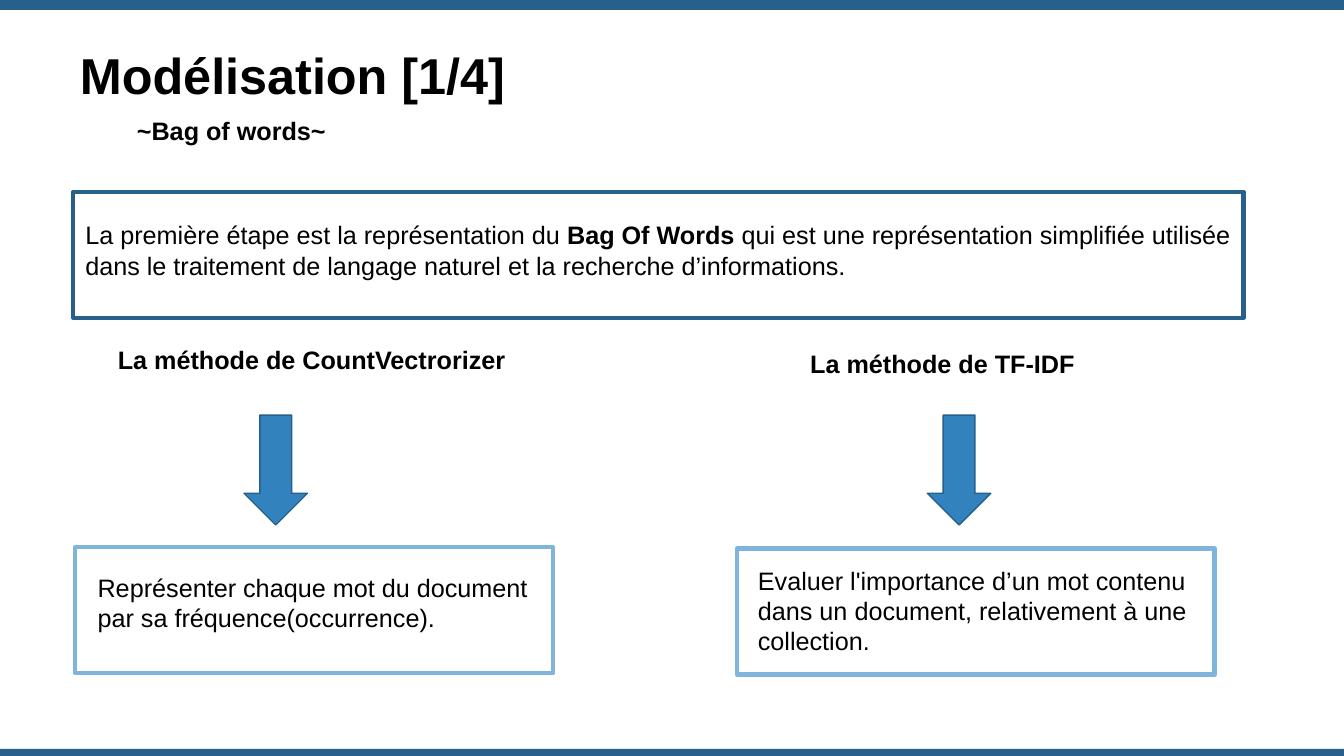
from dataclasses import dataclass
from typing import Any

from pptx import Presentation
from pptx.dml.color import RGBColor
from pptx.enum import shapes, text
from pptx.util import Cm, Pt

BAR_BLUE = "28608C"
ARROW_BLUE = "3282BE"
ARROW_EDGE = "25608D"
FRAME_BLUE = "7FB5DD"
BLACK = "000000"
WIDTH, HEIGHT = 33.87, 19.05


@dataclass(frozen=True)
class Box:
    """A rectangle on the slide, in centimetres."""
    left: float
    top: float
    width: float
    height: float

    def lengths(self) -> list[Cm]:
        return [Cm(value) for value in (self.left, self.top, self.width, self.height)]


@dataclass(frozen=True)
class Run:
    text: str
    bold: bool = False


@dataclass(frozen=True)
class Method:
    heading: str
    heading_box: Box
    arrow_left: float
    description: str
    description_box: Box
    frame_left: float
    frame_top: float


METHODS = [
    Method("La méthode de CountVectrorizer", Box(2.72, 8.56, 10.97, 1.02), 6.15,
           "Représenter chaque mot du document par sa fréquence(occurrence).",
           Box(2.21, 14.3, 11.71, 1.8), 1.9, 13.79),
    Method("La méthode de TF-IDF", Box(20.17, 8.66, 9.07, 1.02), 23.37,
           "Evaluer l'importance d’un mot contenu dans un document, "
           "relativement à une collection.",
           Box(18.85, 14.12, 12.5, 2.57), 18.57, 13.82),
]


def color(value: str) -> RGBColor:
    return RGBColor.from_string(value)


def set_all(target: Any, values: dict[str, Any]) -> None:
    for name, value in values.items():
        setattr(target, name, value)


def write_runs(paragraph: Any, runs: list[Run], size: float = 18) -> None:
    for item in runs:
        run = paragraph.add_run()
        run.text = item.text
        set_all(run.font, {"name": "Arial", "size": Pt(size), "bold": item.bold})
        run.font.color.rgb = color(BLACK)


def add_text(slide: Any, box: Box, runs: list[Run]) -> None:
    frame = slide.shapes.add_textbox(*box.lengths()).text_frame
    set_all(frame, {"word_wrap": True,
                    "auto_size": text.MSO_AUTO_SIZE.SHAPE_TO_FIT_TEXT})
    write_runs(frame.paragraphs[0], runs)


def add_figure(slide: Any, kind: shapes.MSO_SHAPE, box: Box, fill: str | None = None,
               line: str | None = None, line_width: float = 1) -> None:
    """Draw a preset shape; a missing fill or line colour leaves that part out."""
    shape = slide.shapes.add_shape(kind, *box.lengths())
    shape.shadow.inherit = False
    if fill:
        shape.fill.solid()
        shape.fill.fore_color.rgb = color(fill)
    else:
        shape.fill.background()
    if line:
        shape.line.color.rgb = color(line)
        shape.line.width = Pt(line_width)
    else:
        shape.line.fill.background()


def add_title(slide: Any, box: Box, title: str) -> None:
    shape = slide.shapes.title
    set_all(shape, dict(zip(("left", "top", "width", "height"), box.lengths())))
    set_all(shape.text_frame, {"vertical_anchor": text.MSO_ANCHOR.MIDDLE,
                               "word_wrap": True,
                               "auto_size": text.MSO_AUTO_SIZE.NONE})
    paragraph = shape.text_frame.paragraphs[0]
    set_all(paragraph, {"alignment": text.PP_ALIGN.CENTER, "line_spacing": 0.9,
                        "space_before": Pt(10)})
    write_runs(paragraph, [Run(title, True)], 36)


def add_method(slide: Any, method: Method) -> None:
    add_text(slide, method.heading_box, [Run(method.heading, True)])
    add_figure(slide, shapes.MSO_SHAPE.DOWN_ARROW,
               Box(method.arrow_left, 10.46, 1.6, 2.77), ARROW_BLUE, ARROW_EDGE)
    add_text(slide, method.description_box, [Run(method.description)])
    add_figure(slide, shapes.MSO_SHAPE.RECTANGLE,
               Box(method.frame_left, method.frame_top, 12.04, 3.18),
               line=FRAME_BLUE, line_width=3)


def main() -> None:
    presentation = Presentation()
    set_all(presentation, {"slide_width": Cm(WIDTH), "slide_height": Cm(HEIGHT)})
    slide = presentation.slides.add_slide(
        presentation.slide_layouts.get_by_name("Title Only"))

    for top, height in ((0, 0.25), (18.87, 0.18)):
        add_figure(slide, shapes.MSO_SHAPE.RECTANGLE,
                   Box(0, top, WIDTH, height), BAR_BLUE)

    add_title(slide, Box(0.91, 0.66, 12.93, 2.64), "Modélisation [1/4]")
    add_text(slide, Box(3.2, 2.77, 7.24, 1.02), [Run("~Bag of words~", True)])
    add_text(slide, Box(1.9, 5.41, 30.35, 2.57), [
        Run("La première étape est la représentation du "),
        Run("Bag Of Words ", True),
        Run("qui est une représentation simplifiée utilisée dans le traitement "
            "de langage naturel et la recherche d’informations."),
    ])
    add_figure(slide, shapes.MSO_SHAPE.RECTANGLE, Box(1.85, 4.83, 29.49, 3.18),
               line=BAR_BLUE, line_width=3)
    for method in METHODS:
        add_method(slide, method)

    presentation.save("out.pptx")


if __name__ == "__main__":
    main()
